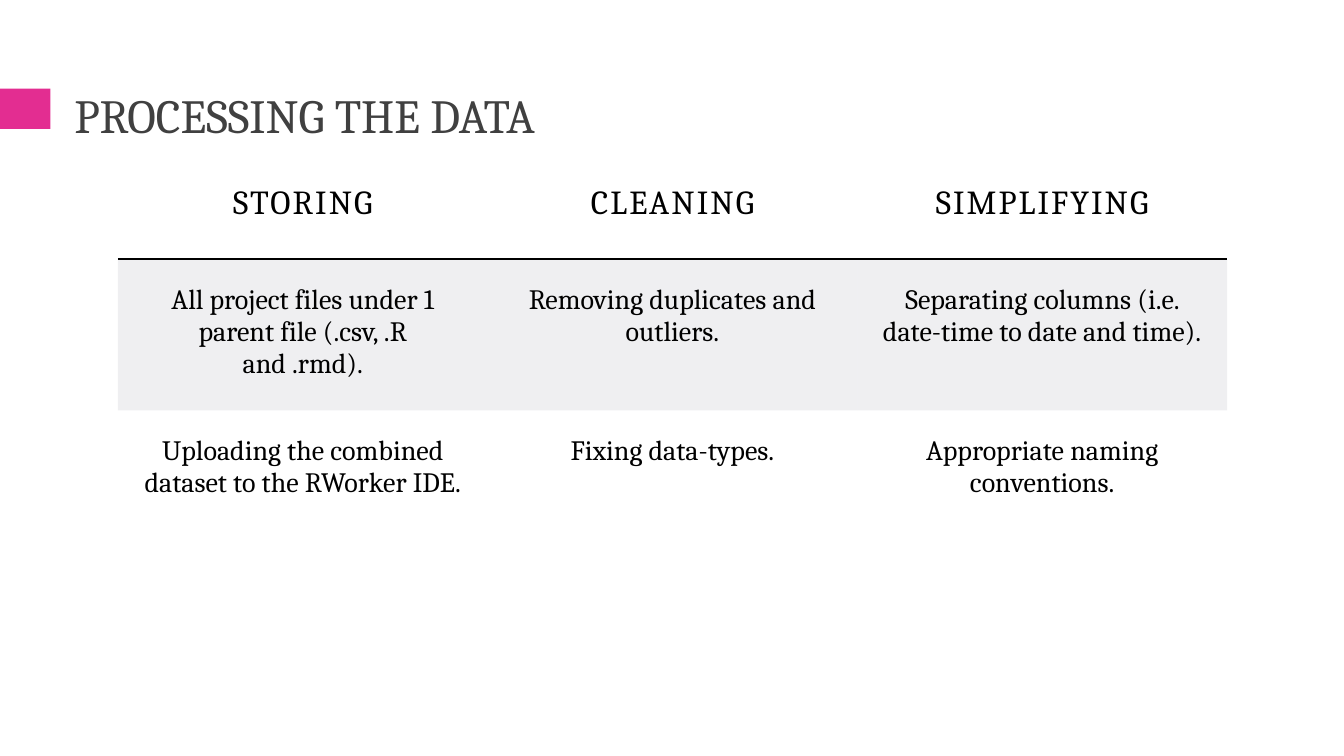
from dataclasses import dataclass
from pptx import Presentation
from pptx.dml.color import RGBColor as RGB
from pptx.enum.shapes import MSO_SHAPE as Shape
from pptx.enum.text import MSO_ANCHOR as Anchor, PP_ALIGN as Align
from pptx.oxml import parse_xml
from pptx.oxml.ns import nsdecls, qn
from pptx.util import Inches, Pt


@dataclass(frozen=True)
class Theme:
    font: str = "Cambria"
    accent: str = "E32D91"
    title: str = "404040"
    ink: str = "000000"
    band: str = "B1B1BD"
    title_size: int = 34
    head_size: int = 24
    body_size: int = 20
    head_gap: int = 150  # hundredths of a point
    band_alpha: int = 20000
    plain_grid: str = "{2D5ABB26-0587-4C30-8999-92F81FD0307C}"


def write(frame, text, *, font, size, color, align=Align.LEFT, gap=0, lead=None):
    """Fill a text frame; gap is letter spacing, lead is line spacing."""
    par = frame.paragraphs[0]
    par.alignment = align
    if lead:
        par.line_spacing = lead
    run = par.add_run()
    run.text = text
    run.font.name = font
    run.font.size = Pt(size)
    run.font.color.rgb = RGB.from_string(color)
    if gap:
        run.font._element.set("spc", str(gap))


class Deck:
    def __init__(self, theme):
        self.theme = theme
        self.show = Presentation()
        self.show.slide_width = Inches(13.33)
        self.show.slide_height = Inches(7.5)
        self.slide = self.show.slides.add_slide(self.show.slide_layouts[6])

    def block(self, *box):
        bar = self.slide.shapes.add_shape(Shape.RECTANGLE, *map(Inches, box))
        bar.shadow.inherit = False
        bar.fill.solid()
        bar.fill.fore_color.rgb = RGB.from_string(self.theme.accent)
        bar.line.fill.background()

    def title(self, text, *box):
        frame = self.slide.shapes.add_textbox(*map(Inches, box)).text_frame
        frame.word_wrap = True
        frame.vertical_anchor = Anchor.MIDDLE
        write(frame, text, font=self.theme.font, size=self.theme.title_size,
              color=self.theme.title, lead=0.85)

    def table(self, rows, left, top, width, heights):
        grid = self.slide.shapes.add_table(
            len(rows), len(rows[0]), Inches(left), Inches(top),
            Inches(width), Inches(sum(heights))).table
        grid.first_row = grid.horz_banding = False
        grid._tbl.tblPr.find(qn("a:tableStyleId")).text = self.theme.plain_grid
        for r, (texts, height) in enumerate(zip(rows, heights)):
            grid.rows[r].height = Inches(height)
            for c, text in enumerate(texts):
                self.cell(grid.cell(r, c), text, head=r == 0, band=r % 2 == 1)

    def cell(self, cell, text, head, band):
        look = self.theme
        cell.margin_left = cell.margin_right = Inches(0.25)
        cell.margin_top = cell.margin_bottom = Inches(0.25)
        write(cell.text_frame, text, font=look.font, color=look.ink,
              size=look.head_size if head else look.body_size,
              align=Align.CENTER, gap=look.head_gap if head else 0)
        if band:
            cell.fill.solid()
            cell.fill.fore_color.rgb = RGB.from_string(look.band)
            tint = cell._tc.tcPr.find(".//" + qn("a:srgbClr"))
            tint.append(parse_xml(
                f'<a:alpha {nsdecls("a")} val="{look.band_alpha}"/>'))
        else:
            cell.fill.background()
        if head:
            cell._tc.tcPr.insert(0, parse_xml(
                f'<a:lnB {nsdecls("a")} w="{Pt(1)}"><a:solidFill>'
                f'<a:srgbClr val="{look.ink}"/></a:solidFill></a:lnB>'))


def main():
    deck = Deck(Theme())
    deck.block(0, 0.88, 0.5, 0.4)
    deck.title("PROCESSING THE DATA", 0.64, 0.77, 12.06, 0.81)
    steps = [
        ("STORING", "CLEANING", "SIMPLIFYING"),
        ("All project files under 1 parent file (.csv, .R and .rmd).",
         "Removing duplicates and outliers.",
         "Separating columns (i.e. date-time to date and time)."),
        ("Uploading the combined dataset to the RWorker IDE.",
         "Fixing data-types.",
         "Appropriate naming conventions."),
    ]
    deck.table(steps, 1.17, 1.58, 11, (0.99, 0.91, 0.91))
    deck.show.save("out.pptx")


if __name__ == "__main__":
    main()
